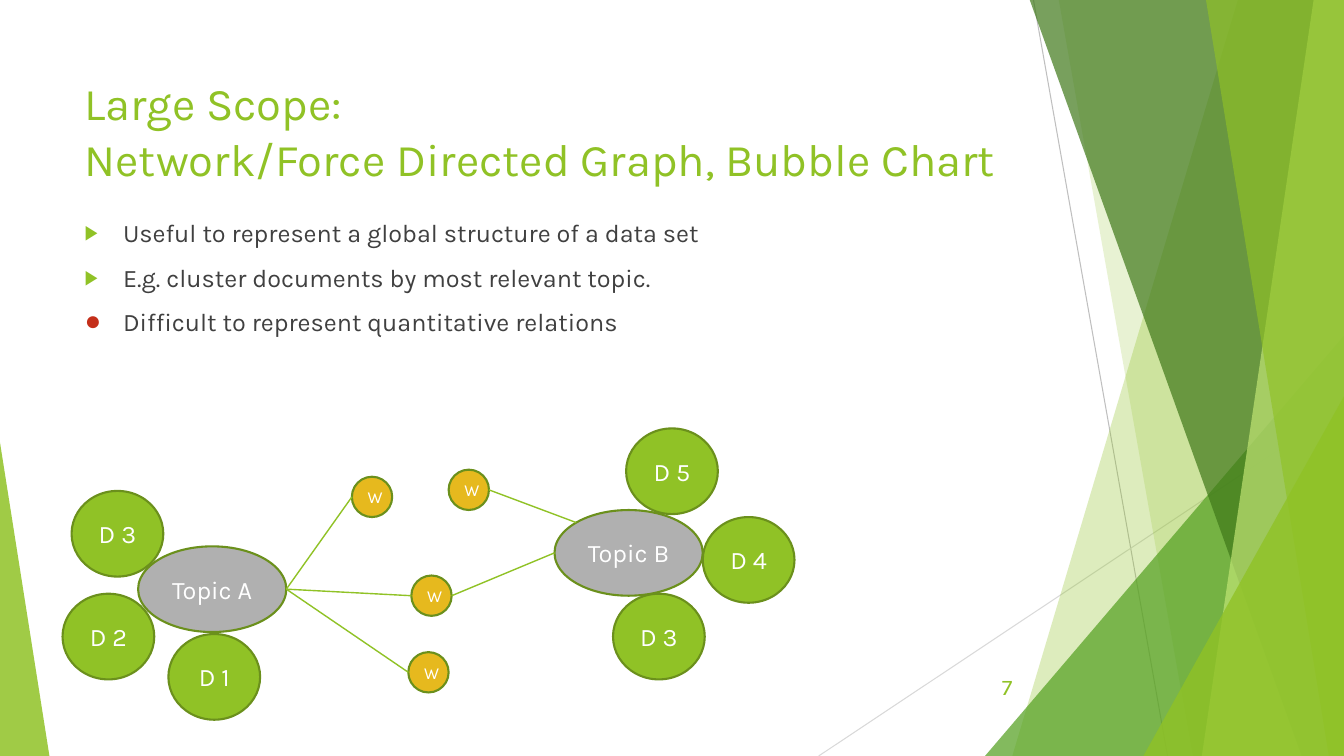
"""Build the slide on large-scope network graphs and bubble charts."""
from dataclasses import dataclass

from lxml import etree
from pptx import Presentation
from pptx.dml.color import RGBColor
from pptx.enum.shapes import MSO_CONNECTOR, MSO_SHAPE
from pptx.enum.text import MSO_ANCHOR, MSO_AUTO_SIZE, PP_ALIGN
from pptx.oxml.ns import qn
from pptx.util import Pt

PX = 9144
WIDTH, HEIGHT = 1333, 750
STRAIGHT = MSO_CONNECTOR.STRAIGHT
OVAL, TRIANGLE = MSO_SHAPE.OVAL, MSO_SHAPE.ISOSCELES_TRIANGLE
TOP, MIDDLE = MSO_ANCHOR.TOP, MSO_ANCHOR.MIDDLE
LEFT, CENTER, RIGHT = PP_ALIGN.LEFT, PP_ALIGN.CENTER, PP_ALIGN.RIGHT
NO_FIT = MSO_AUTO_SIZE.NONE


@dataclass(frozen=True)
class Theme:
    font: str = "Karla"
    green: str = "90C226"
    outline: str = "6B901C"
    gray: str = "B0B0B0"
    gold: str = "E6B91E"
    red: str = "C42F1A"
    text: str = "404040"
    white: str = "FFFFFF"
    title_size: float = 32.4
    body_size: int = 18
    number_size: int = 16
    word_size: int = 12


T = Theme()

TITLE = "Large Scope:\vNetwork/Force Directed Graph, Bubble Chart"
TITLE_BOX = (74, 67, 940, 144)
BODY_BOX = (74, 211, 852, 424)
NUMBER, NUMBER_BOX = "7", (939, 661, 75, 40)
BULLETS = [
    ("Useful to represent a global structure of a data set", "▶", T.green, 80),
    ("E.g. cluster documents by most relevant topic.", "▶", T.green, 80),
    ("Difficult to represent quantitative relations", "●", T.red, 110),
]
BULLET_INDENT = 38

RULES = [
    ((1025, 0), (1158, 750), "BFBFBF"),
    ((1333, 403), (812, 750), "D9D9D9"),
]
BANDS = "band"
WEDGE = "wedge"
DECOR = [
    (BANDS, (1228, 1004), T.green, 30),
    (BANDS, (1050, 1183), T.green, 20),
    (WEDGE, (977, 333, 356, 417, 1), "54A021", 72),
    (BANDS, (1021, 1291), "3F7819", 70),
    (BANDS, (1303, 1192), "C0E474", 70),
    (BANDS, (1196, 1318), T.green, 65),
    (WEDGE, (1134, 393, 199, 357, 1), T.green, 80),
    (WEDGE, (0, 439, 49, 311, 0), T.green, 85),
]

KINDS = {
    "topic": (147, 85, T.gray, T.body_size),
    "doc": (91, 85, T.green, T.body_size),
    "word": (40, 40, T.gold, T.word_size),
}
NODES = {
    "A": ("topic", "Topic A", 137, 542),
    "A1": ("doc", "D 1", 167, 629),
    "A3": ("doc", "D 3", 71, 487),
    "A2": ("doc", "D 2", 62, 589),
    "B": ("topic", "Topic B", 550, 506),
    "B5": ("doc", "D 5", 621, 425),
    "B4": ("doc", "D 4", 697, 513),
    "W1": ("word", "W", 445, 466),
    "W2": ("word", "W", 349, 473),
    "W3": ("word", "W", 408, 571),
    "W4": ("word", "W", 405, 647),
    "B3": ("doc", "D 3", 608, 589),
}
SITES = {"left": (0, 0.5), "right": (1, 0.5), "top left": (0.146, 0.146)}
LINKS = [
    ("W1", "right", "B", "top left"),
    ("W3", "right", "B", "left"),
    ("A", "right", "W2", "left"),
    ("A", "right", "W3", "left"),
    ("A", "right", "W4", "left"),
]


def emu(*lengths):
    return [round(n * PX) for n in lengths]


def rgb(color):
    return RGBColor.from_string(color)


def paint(sp, color, alpha=None):
    sp.shadow.inherit = False
    sp.fill.solid()
    sp.fill.fore_color.rgb = rgb(color)
    if alpha:
        clr = sp.element.spPr.find(qn("a:solidFill")).find(qn("a:srgbClr"))
        etree.SubElement(clr, qn("a:alpha")).set("val", str(alpha * 1000))


def style(tf, size, color, align, anchor):
    tf.word_wrap = True
    tf.auto_size = NO_FIT
    tf.vertical_anchor = anchor
    for p in tf.paragraphs:
        p.alignment = align
        for r in p.runs:
            r.font.name = T.font
            r.font.size = Pt(size)
            r.font.color.rgb = rgb(color)


def place(sp, box):
    sp.left, sp.top, sp.width, sp.height = emu(*box)


def add_line(s, start, end, color, width):
    line = s.shapes.add_connector(STRAIGHT, *emu(*start, *end))
    line.line.color.rgb = rgb(color)
    line.line.width = Pt(width)
    etree.SubElement(line.element.spPr, qn("a:effectLst"))


def add_decor(s):
    for start, end, color in RULES:
        add_line(s, start, end, color, 0.75)
    for kind, geometry, color, alpha in DECOR:
        if kind == BANDS:
            top_x, bottom_x = geometry
            outline = s.shapes.build_freeform(top_x, -1, PX)
            outline.add_line_segments([(WIDTH, -1), (WIDTH, HEIGHT), (bottom_x, HEIGHT)])
            sp = outline.convert_to_shape()
        else:
            *box, apex = geometry
            sp = s.shapes.add_shape(TRIANGLE, *emu(*box))
            sp.adjustments[0] = apex
        paint(sp, color, alpha)
        sp.line.fill.background()


def add_bullet(p, char, color, percent):
    p.space_before = Pt(10)
    pPr = p._p.get_or_add_pPr()
    indent = BULLET_INDENT * PX
    pPr.set("marL", str(indent))
    pPr.set("indent", str(-indent))
    clr = etree.SubElement(pPr, qn("a:buClr"))
    etree.SubElement(clr, qn("a:srgbClr")).set("val", color)
    etree.SubElement(pPr, qn("a:buSzPct")).set("val", str(percent * 1000))
    etree.SubElement(pPr, qn("a:buFont")).set("typeface", "Arial")
    etree.SubElement(pPr, qn("a:buChar")).set("char", char)


def add_text(s):
    title, body = s.shapes.title, s.placeholders[1]
    for sp, box in ((title, TITLE_BOX), (body, BODY_BOX)):
        place(sp, box)
        s.shapes.element.append(sp.element)
    title.text_frame.text = TITLE
    style(title.text_frame, T.title_size, T.green, LEFT, TOP)
    title.text_frame.paragraphs[0].line_spacing = 1.04

    tf = body.text_frame
    tf.text = "\n".join(text for text, *_ in BULLETS)
    style(tf, T.body_size, T.text, LEFT, TOP)
    for p, (_, char, color, percent) in zip(tf.paragraphs, BULLETS):
        add_bullet(p, char, color, percent)

    number = s.shapes.add_textbox(*emu(*NUMBER_BOX))
    number.text_frame.text = NUMBER
    style(number.text_frame, T.number_size, T.green, RIGHT, MIDDLE)


def site_point(name, site):
    kind, _, x, y = NODES[name]
    w, h = KINDS[kind][:2]
    fx, fy = SITES[site]
    return x + w * fx, y + h * fy


def add_graph(s):
    for kind, label, x, y in NODES.values():
        w, h, color, size = KINDS[kind]
        sp = s.shapes.add_shape(OVAL, *emu(x, y, w, h))
        paint(sp, color)
        sp.line.color.rgb = rgb(T.outline)
        sp.line.width = Pt(1.5)
        sp.text_frame.text = label
        style(sp.text_frame, size, T.white, CENTER, MIDDLE)
    for a, a_site, b, b_site in LINKS:
        add_line(s, site_point(a, a_site), site_point(b, b_site), T.green, 1)


def main():
    prs = Presentation()
    prs.slide_width, prs.slide_height = emu(WIDTH, HEIGHT)
    s = prs.slides.add_slide(prs.slide_layouts[1])
    add_decor(s)
    add_text(s)
    add_graph(s)
    prs.save("out.pptx")


if __name__ == "__main__":
    main()
